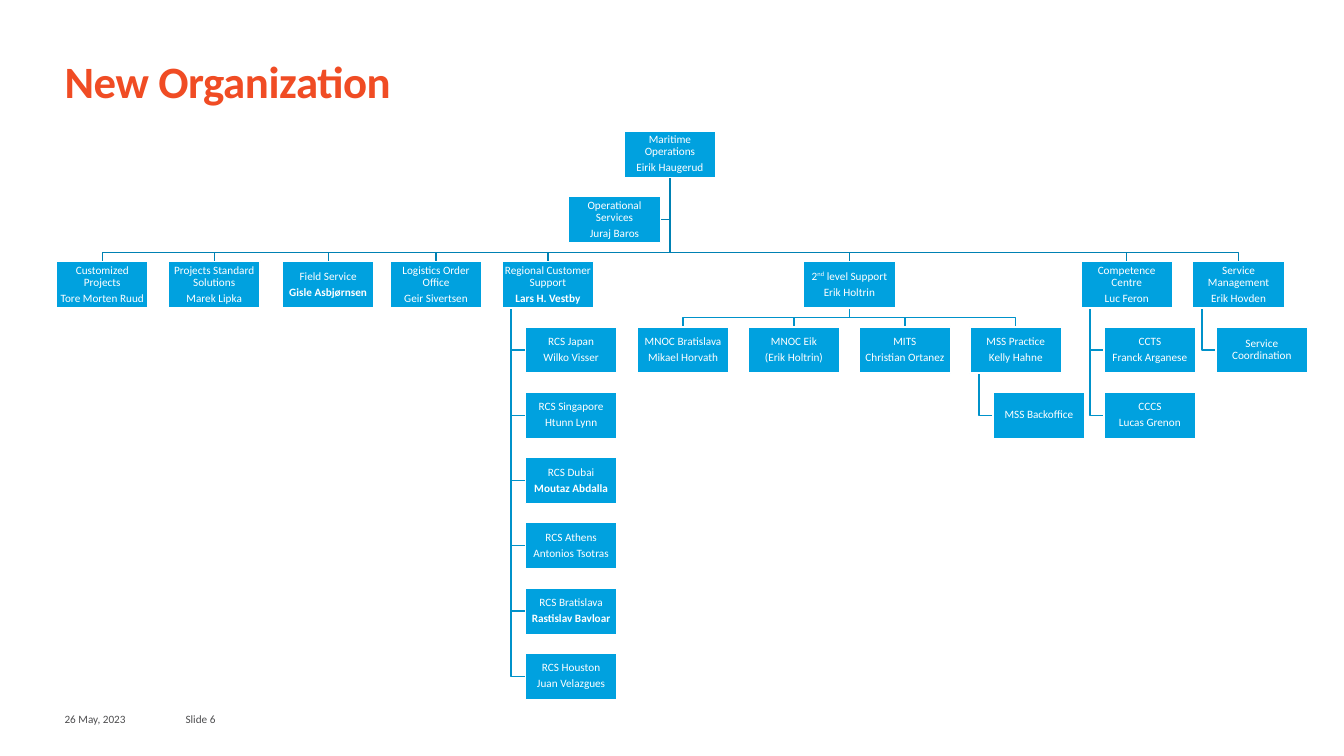
from dataclasses import dataclass, field

from pptx import Presentation
from pptx.dml.color import RGBColor
from pptx.enum.shapes import MSO_SHAPE
from pptx.enum.text import MSO_ANCHOR, MSO_AUTO_SIZE, PP_ALIGN
from pptx.util import Inches, Pt

COLORS = {
    "title": "F04C24",
    "box": "00A1DF",
    "white": "FFFFFF",
    "upper_line": "0081B3",
    "lower_line": "0092CA",
    "footer": "4D4D4F",
}
FONT = "Calibri"
BOX_W, BOX_H = 0.91, 0.46
ROW_STEP = (6.48 - 1.3) / 8   # from the first to the ninth row of boxes
COL_STEP = 1.1                # between units side by side
INDENT, SPINE = 0.23, 0.09    # stacked units and the line beside them


@dataclass
class Unit:
    label: str                # text between ^ marks is superscript
    head: str = ""
    bold: bool = False
    stack: list = field(default_factory=list)
    row: list = field(default_factory=list)


# Division units with their left edges
DIVISIONS = [
    (0.56, Unit("Customized Projects", "Tore Morten Ruud")),
    (1.67, Unit("Projects Standard Solutions", "Marek Lipka")),
    (2.8, Unit("Field Service", "Gisle Asbjørnsen", True)),
    (3.87, Unit("Logistics Order Office", "Geir Sivertsen")),
    (4.98, Unit("Regional Customer Support", "Lars H. Vestby", True, stack=[
        Unit("RCS Japan", "Wilko Visser"),
        Unit("RCS Singapore", "Htunn Lynn"),
        Unit("RCS Dubai", "Moutaz Abdalla", True),
        Unit("RCS Athens", "Antonios Tsotras"),
        Unit("RCS Bratislava", "Rastislav Bavloar", True),
        Unit("RCS Houston", "Juan Velazgues"),
    ])),
    (7.97, Unit("2^nd^ level Support", "Erik Holtrin", row=[
        Unit("MNOC Bratislava", "Mikael Horvath"),
        Unit("MNOC Eik", "(Erik Holtrin)"),
        Unit("MITS", "Christian Ortanez"),
        Unit("MSS Practice", "Kelly Hahne", stack=[Unit("MSS Backoffice")]),
    ])),
    (10.72, Unit("Competence Centre", "Luc Feron", stack=[
        Unit("CCTS", "Franck Arganese"),
        Unit("CCCS", "Lucas Grenon"),
    ])),
    (11.83, Unit("Service Management", "Erik Hovden",
                 stack=[Unit("Service Coordination")])),
]


def rgb(name):
    return RGBColor.from_string(COLORS[name])


def set_font(font, size, color, bold=False):
    font.name, font.size, font.bold = FONT, Pt(size), bold
    font.color.rgb = rgb(color)


def set_frame(tf, anchor, margin=0):
    tf.word_wrap = True
    tf.auto_size = MSO_AUTO_SIZE.NONE
    tf.vertical_anchor = anchor
    tf.margin_left = tf.margin_right = Inches(margin)
    tf.margin_top = tf.margin_bottom = Inches(margin)


def add_title(s, x, y, w, h):
    sp = s.shapes.title
    sp.left, sp.top, sp.width, sp.height = map(Inches, (x, y, w, h))
    set_frame(sp.text_frame, MSO_ANCHOR.MIDDLE)
    p = sp.text_frame.paragraphs[0]
    p.alignment, p.line_spacing = PP_ALIGN.LEFT, 0.9
    r = p.add_run()
    r.text = "New Organization"
    r._r.get_or_add_rPr().set("spc", "-30")
    set_font(p.font, 32, "title", True)


def add_footer(s, x, y, w, h, text):
    tf = s.shapes.add_textbox(*map(Inches, (x, y, w, h))).text_frame
    set_frame(tf, MSO_ANCHOR.BOTTOM)
    p = tf.paragraphs[0]
    p.text = text
    set_font(p.font, 8, "footer")


def add_elbow(s, points, color):
    (x, y), *rest = [(Inches(a), Inches(b)) for a, b in points]
    builder = s.shapes.build_freeform(x, y)
    builder.add_line_segments(rest, close=False)
    sp = builder.convert_to_shape()
    sp.shadow.inherit = False
    sp.fill.background()
    sp.line.color.rgb = rgb(color)
    sp.line.width = Pt(1)


def add_drop(s, x1, y1, x2, y2, color):
    """Line down from a unit, across, and down to the unit below."""
    mid = y2 - 0.09
    add_elbow(s, [(x1, y1), (x1, mid), (x2, mid), (x2, y2)], color)


def add_box(s, x, y, unit):
    sp = s.shapes.add_shape(MSO_SHAPE.RECTANGLE,
                            *map(Inches, (x, y, BOX_W, BOX_H)))
    sp.shadow.inherit = False
    sp.fill.solid()
    sp.fill.fore_color.rgb = rgb("box")
    sp.line.color.rgb = rgb("white")
    sp.line.width = Pt(1)
    tf = sp.text_frame
    set_frame(tf, MSO_ANCHOR.MIDDLE, 0.01)
    lines = [(unit.label, False)]
    if unit.head:
        lines.append((unit.head, unit.bold))
    for i, (text, bold) in enumerate(lines):
        p = tf.add_paragraph() if i else tf.paragraphs[0]
        p.alignment, p.line_spacing, p.space_after = PP_ALIGN.CENTER, 0.9, Pt(2.8)
        for j, part in enumerate(text.split("^")):
            r = p.add_run()
            r.text = part
            if j % 2:
                r._r.get_or_add_rPr().set("baseline", "30000")
        set_font(p.font, 8, "white", bold)


def add_branch(s, x, y, unit):
    """A unit with everything below it; lines lie behind the boxes."""
    bottom, center = y + BOX_H, x + BOX_W / 2
    # Units stacked below, along a spine
    for i, child in enumerate(unit.stack, 1):
        child_y = y + i * ROW_STEP
        mid = child_y + BOX_H / 2
        add_elbow(s, [(x + SPINE, bottom), (x + SPINE, mid), (x + INDENT, mid)],
                  "lower_line")
        add_branch(s, x + INDENT, child_y, child)
    # Units side by side, centred below
    first_x = x - COL_STEP * (len(unit.row) - 1) / 2
    for i, child in enumerate(unit.row):
        child_x, child_y = first_x + i * COL_STEP, y + ROW_STEP
        add_drop(s, center, bottom, child_x + BOX_W / 2, child_y, "lower_line")
        add_branch(s, child_x, child_y, child)
    add_box(s, x, y, unit)


def add_chart_of_units(s, x, y):
    """The whole organization, with its top box at x, y."""
    center, bottom = x + BOX_W / 2, y + BOX_H
    staff_x, staff_y = x - 0.55, y + ROW_STEP
    division_y = y + 2 * ROW_STEP
    staff_mid = staff_y + BOX_H / 2
    # Lines from the top box
    add_elbow(s, [(center, bottom), (center, staff_mid),
                  (staff_x + BOX_W, staff_mid)], "upper_line")
    for left, _ in DIVISIONS:
        add_drop(s, center, bottom, left + BOX_W / 2, division_y, "upper_line")
    # Boxes
    add_box(s, x, y, Unit("Maritime Operations", "Eirik Haugerud"))
    add_box(s, staff_x, staff_y, Unit("Operational Services", "Juraj Baros"))
    for left, unit in DIVISIONS:
        add_branch(s, left, division_y, unit)


def main():
    prs = Presentation()
    prs.slide_width, prs.slide_height = Inches(13.33), Inches(7.5)
    s = prs.slides.add_slide(prs.slide_layouts[5])
    add_title(s, 0.64, 0.36, 12.04, 0.95)
    add_footer(s, 0.64, 6.93, 1.05, 0.27, "26 May, 2023")
    add_footer(s, 1.84, 6.93, 0.69, 0.27, "Slide 6")
    add_chart_of_units(s, 6.19, 1.3)
    prs.save("out.pptx")


if __name__ == "__main__":
    main()
